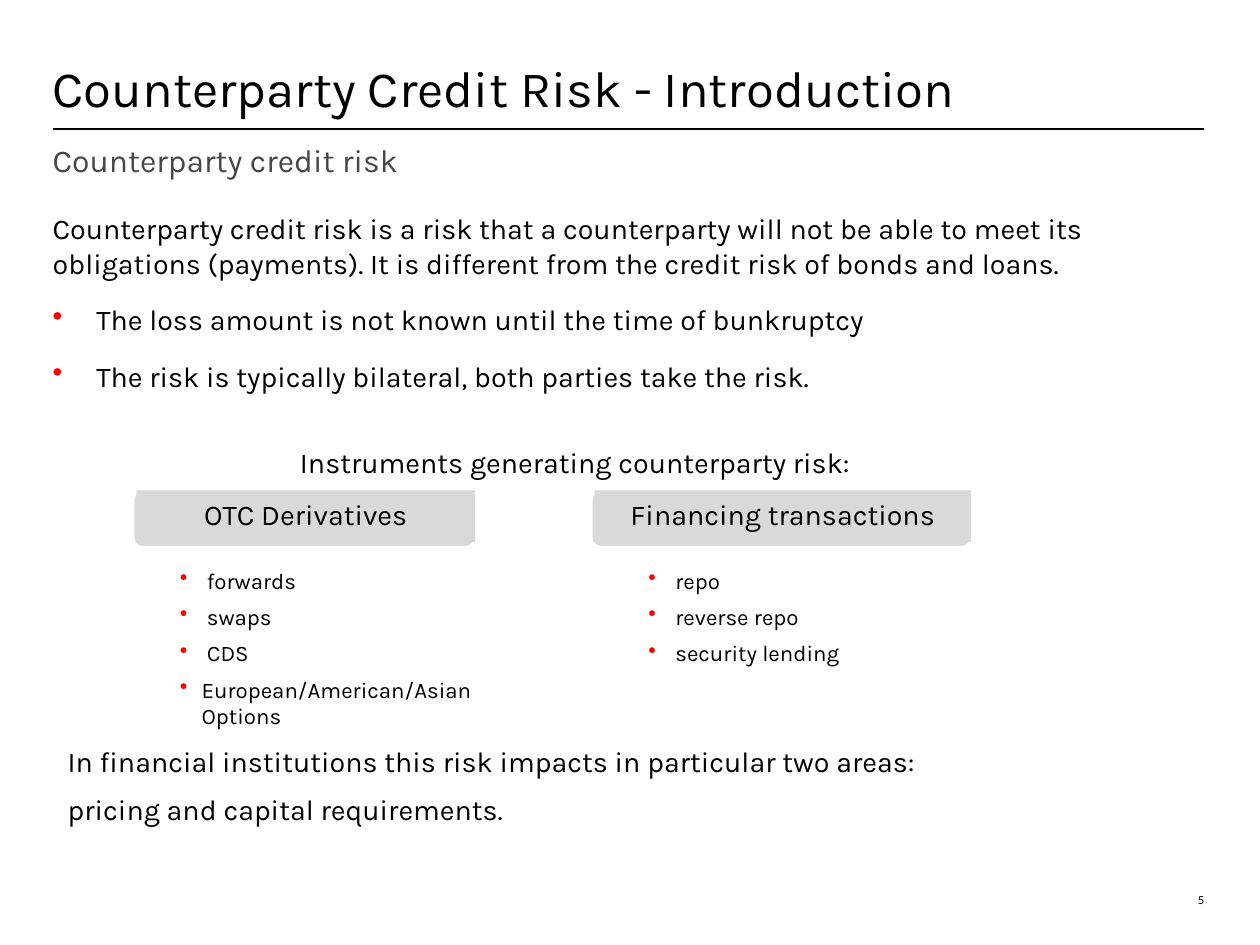
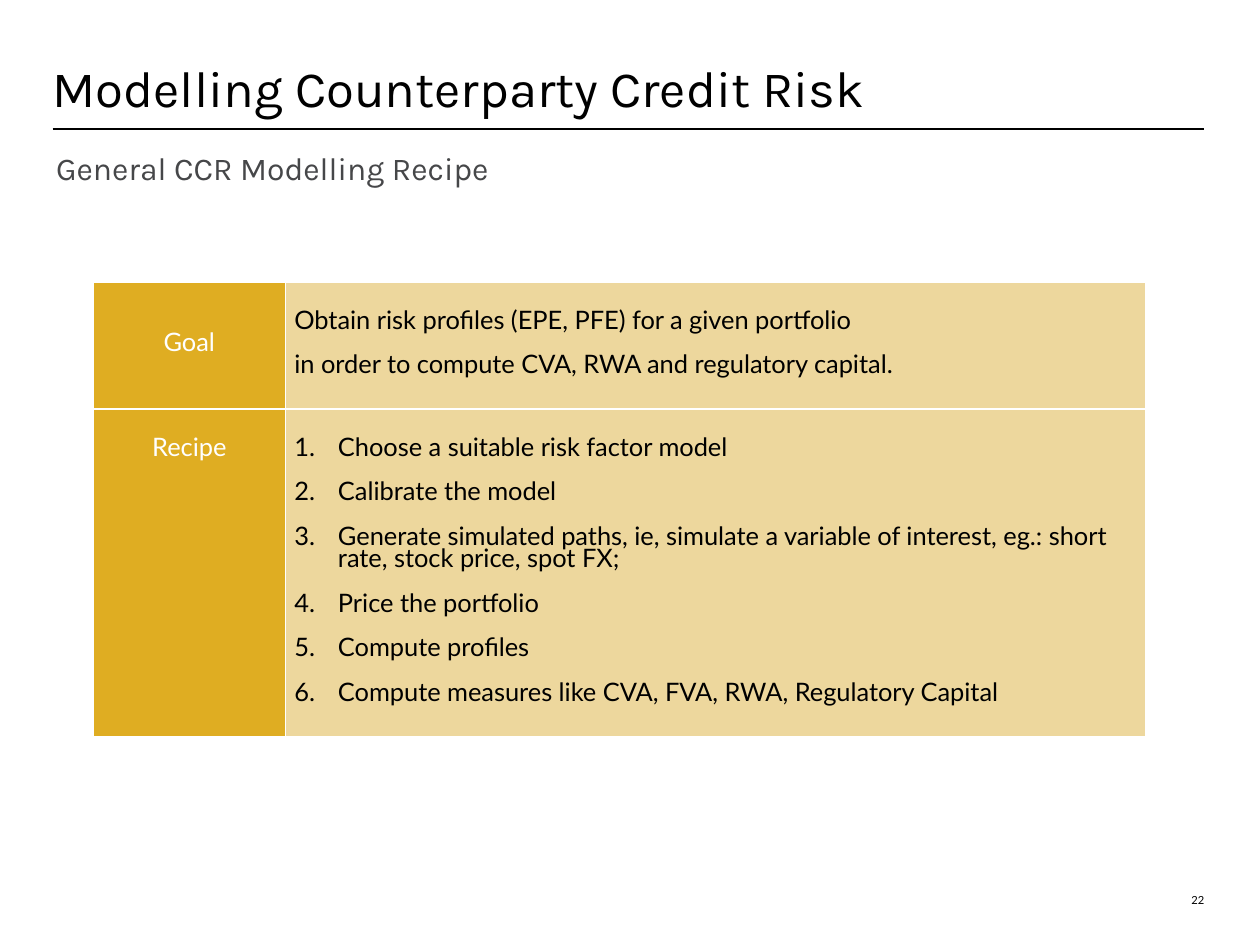
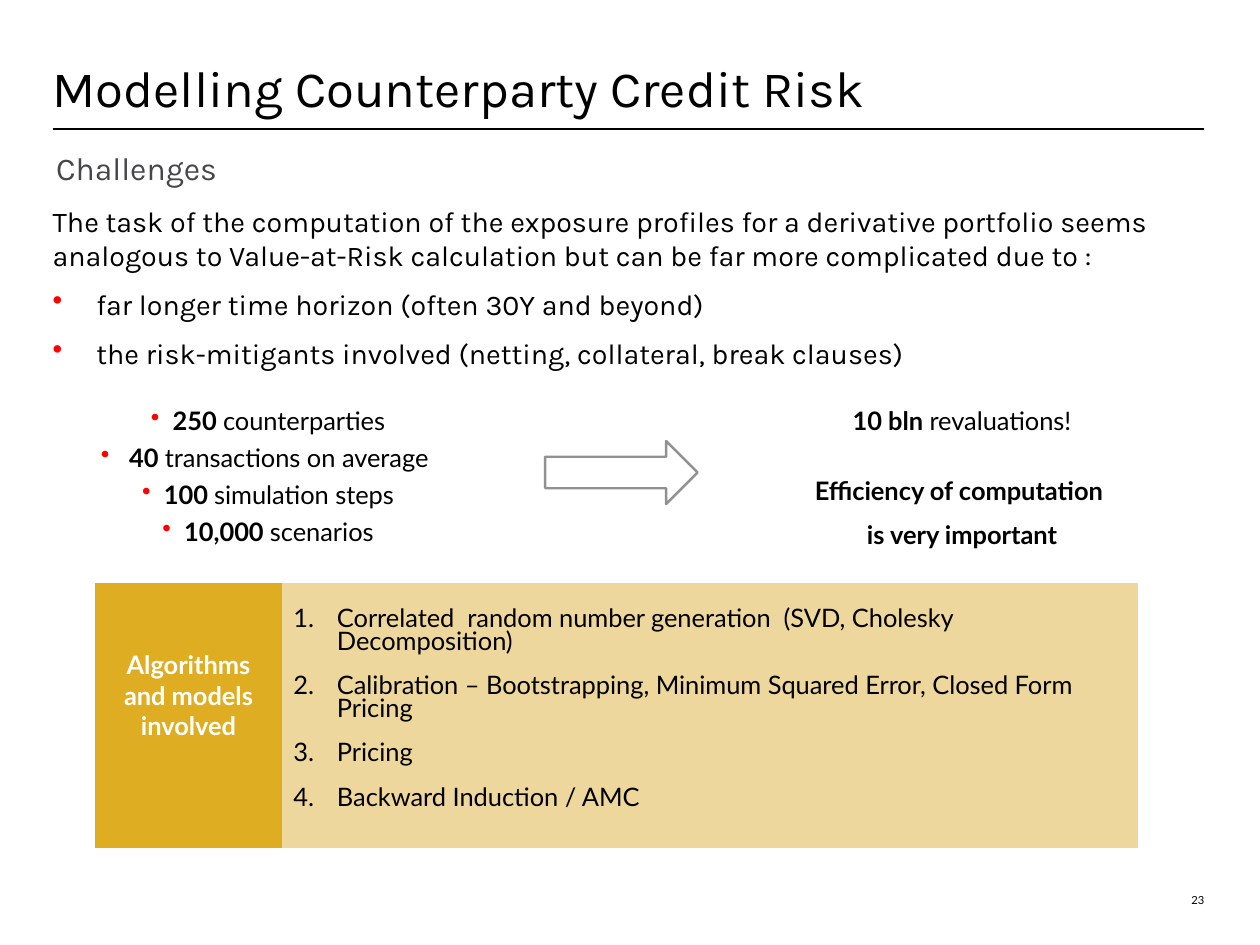
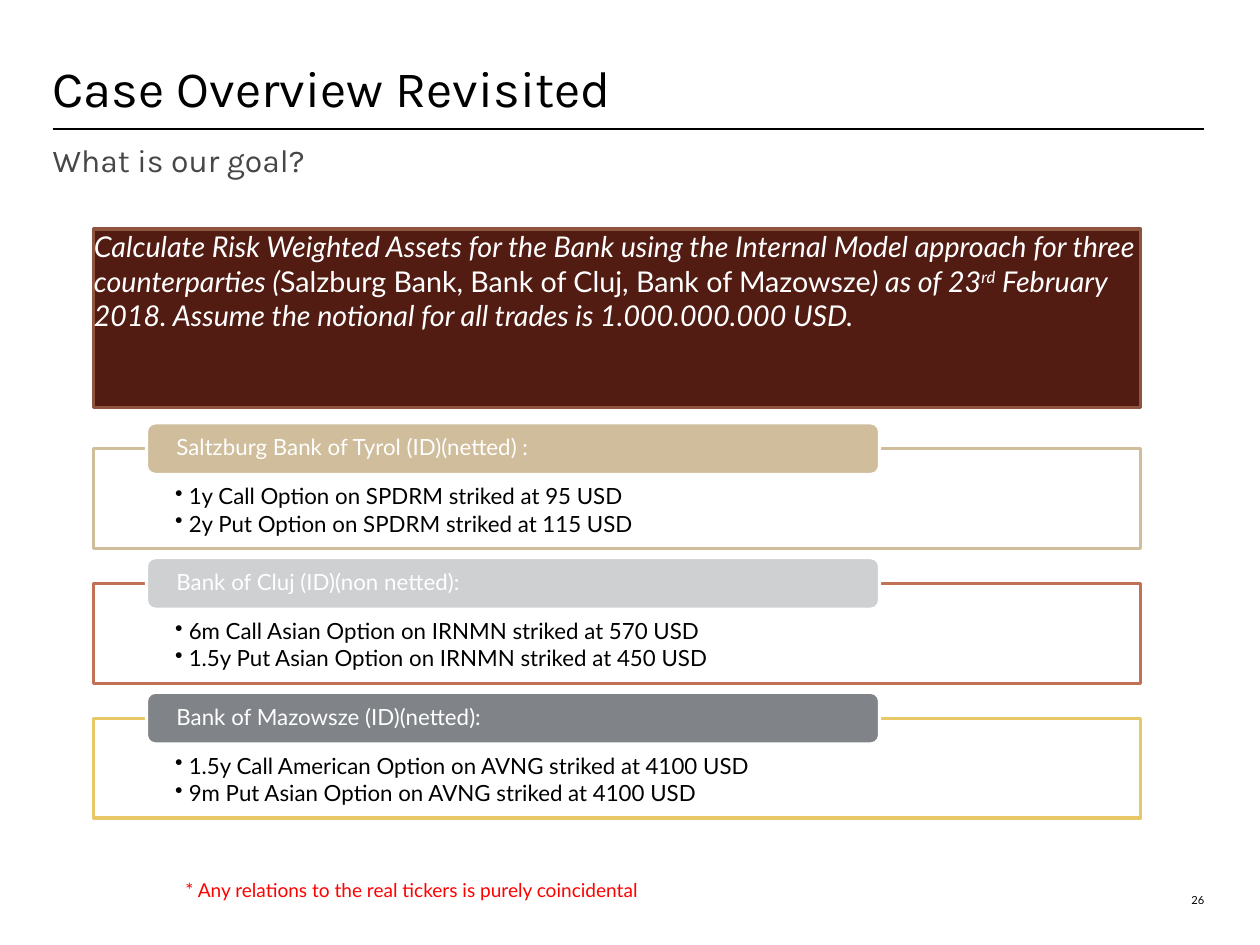
from lxml.etree import SubElement
from pptx import Presentation
from pptx.dml.color import RGBColor
from pptx.enum.shapes import MSO_CONNECTOR as CONN, MSO_SHAPE as SHAPE
from pptx.enum.text import MSO_ANCHOR as ANCHOR, PP_ALIGN as ALIGN
from pptx.oxml.ns import qn
from pptx.util import Pt

COLORS = {
    "black": "000000", "white": "FFFFFF", "red": "FF0000", "subtitle": "464749",
    "header": "D9D9D9", "gold": "DFAD22", "sand": "EDD79D", "arrow": "919191",
    "maroon": "521C13", "brown": "8E5440", "tan": "CFBD9B", "rust": "C07156",
    "silver": "CED0D1", "yellow": "E8C767", "slate": "808488",
}
HEAD, BODY = "Karla", "Lato"
LEFT, WIDTH = 33.1, 723.6
HANG, SMALL_HANG = 27.4, 13.7


def rgb(name):
    return RGBColor.from_string(COLORS[name])


# ---- Text helpers ----
def add_bullet(p, hang, kind, color):
    pPr = p._p.get_or_add_pPr()
    pPr.set("marL", str(Pt(hang)))
    pPr.set("indent", str(-Pt(hang)))
    if color:
        clr = SubElement(pPr, qn("a:buClr"))
        SubElement(clr, qn("a:srgbClr")).set("val", COLORS[color])
    if kind == "number":
        SubElement(pPr, qn("a:buAutoNum")).set("type", "arabicPeriod")
    else:
        SubElement(pPr, qn("a:buChar")).set("char", kind)


def write(tf, paras, size, font=HEAD, color="black", align=ALIGN.LEFT, before=0,
          after=0, line=None, bullet=None, hang=HANG, bullet_color="red",
          plain=0, insets=(0, 0, 0, 0), anchor=ANCHOR.TOP):
    """A paragraph is a string or a list of (text, style) with style "", "b", "i", "sup".
    The first `plain` paragraphs get no bullet."""
    tf.word_wrap = True
    tf.vertical_anchor = anchor
    tf.margin_left, tf.margin_top, tf.margin_right, tf.margin_bottom = map(Pt, insets)
    for i, para in enumerate(paras):
        p = tf.paragraphs[0] if i == 0 else tf.add_paragraph()
        p.alignment = align
        p.space_before, p.space_after = Pt(before), Pt(after)
        if line:
            p.line_spacing = line
        if bullet and i >= plain:
            add_bullet(p, hang, bullet, bullet_color)
        for text, style in [(para, "")] if isinstance(para, str) else para:
            r = p.add_run()
            r.text = text
            r.font.name, r.font.size = font, Pt(size)
            r.font.color.rgb = rgb(color)
            r.font.bold = style == "b"
            r.font.italic = style in ("i", "sup")
            if style == "sup":
                r._r.get_or_add_rPr().set("baseline", "30000")


def add_text(s, box, paras, size, **style):
    tb = s.shapes.add_textbox(*map(Pt, box))
    write(tb.text_frame, paras, size, **style)


def add_block(s, kind, box, fill=None, line=None, weight=2):
    sp = s.shapes.add_shape(kind, *map(Pt, box))
    sp.shadow.inherit = False
    if fill:
        sp.fill.solid()
        sp.fill.fore_color.rgb = rgb(fill)
    else:
        sp.fill.background()
    if line:
        sp.line.color.rgb = rgb(line)
        sp.line.width = Pt(weight)
    else:
        sp.line.fill.background()
    return sp


# ---- Shared frame: title, rule, subtitle, page number ----
def add_frame(prs, title, subtitle, page, sub_at=(LEFT, 88.6)):
    s = prs.slides.add_slide(prs.slide_layouts[6])
    rule = s.shapes.add_connector(CONN.STRAIGHT, Pt(LEFT), Pt(81.4),
                                  Pt(LEFT + WIDTH), Pt(81.4))
    rule.line.color.rgb = rgb("black")
    rule.line.width = Pt(1.25)
    SubElement(rule._element.spPr, qn("a:effectLst"))
    add_text(s, (725, 540, 32, 30.2), [page], 7, font=BODY,
             align=ALIGN.RIGHT, anchor=ANCHOR.BOTTOM)
    add_text(s, (LEFT, 0, WIDTH, 74.2), [title], 32, line=Pt(32), anchor=ANCHOR.BOTTOM)
    add_text(s, (*sub_at, WIDTH, 21.6), [subtitle], 20, color="subtitle")
    return s


# ---- Gold and sand table ----
def set_borders(cell, color):
    tcPr = cell._tc.get_or_add_tcPr()
    for side in "LRTB":
        ln = SubElement(tcPr, qn(f"a:ln{side}"), w=str(Pt(1)))
        if color:
            fill = SubElement(ln, qn("a:solidFill"))
            SubElement(fill, qn("a:srgbClr")).set("val", COLORS[color])
        else:
            SubElement(ln, qn("a:noFill"))


def add_gold_table(s, x, y, widths, heights, border=None):
    frame = s.shapes.add_table(len(heights), len(widths), Pt(x), Pt(y),
                               Pt(sum(widths)), Pt(sum(heights)))
    table = frame.table
    table.first_row = table.horz_banding = False
    for col, w in zip(table.columns, widths):
        col.width = Pt(w)
    for row, h in zip(table.rows, heights):
        row.height = Pt(h)
        for cell, fill in zip(row.cells, ("gold", "sand")):
            set_borders(cell, border)
            cell.fill.solid()
            cell.fill.fore_color.rgb = rgb(fill)
    return table


def fill_cell(cell, paras, insets, anchor=ANCHOR.TOP, **style):
    write(cell.text_frame, paras, 16, font=BODY, **style)
    cell.margin_left, cell.margin_top, cell.margin_right, cell.margin_bottom = map(Pt, insets)
    cell.vertical_anchor = anchor


# ---- Introduction slide ----
def add_instrument_group(s, x, y, w, header, list_x, list_w, items):
    add_block(s, SHAPE.ROUNDED_RECTANGLE, (x, y, w, 36), "header", "white")
    label = add_block(s, SHAPE.RECTANGLE, (x + 2.2, y, w - 2.4, 32.4), "header")
    write(label.text_frame, [header], 18, align=ALIGN.CENTER, line=0.9,
          insets=(7.2,) * 4, anchor=ANCHOR.MIDDLE)
    add_text(s, (list_x, y + 48.2, list_w, 95.8), items, 14, before=6,
             bullet="•", hang=SMALL_HANG)


def introduction_slide(prs):
    s = add_frame(prs, "Counterparty Credit Risk - Introduction",
                  "Counterparty credit risk", "5")
    add_text(s, (LEFT, 97.2, WIDTH, 175.7), [
        "Counterparty credit risk is a risk that a counterparty will not be able to meet its "
        "obligations (payments). It is different from the credit risk of bonds and loans.",
        "The loss amount is not known until the time of bunkruptcy",
        "The risk is typically bilateral, both parties take the risk.",
    ], 18, before=14, bullet="•", plain=1, insets=(0, 35.5, 0, 0))
    add_text(s, (85.7, 279.4, 551.5, 27), ["Instruments generating counterparty risk:"],
             18, align=ALIGN.CENTER)
    add_instrument_group(s, 83.5, 308.2, 215.3, "OTC Derivatives", 113, 185.8,
                         [" forwards", " swaps", " CDS", "European/American/Asian Options"])
    add_instrument_group(s, 371.5, 308.2, 239, "Financing transactions", 407.5, 259.2,
                         [" repo", " reverse repo", " security lending"])
    add_text(s, (42.5, 467.3, 704.2, 72), [
        "In financial institutions this risk impacts in particular two areas:",
        "pricing and capital requirements.",
    ], 18, before=9)


# ---- Recipe slide ----
def recipe_slide(prs):
    s = add_frame(prs, "Modelling Counterparty Credit Risk",
                  "General CCR Modelling Recipe", "22", (35.3, 93.6))
    table = add_gold_table(s, 58.8, 177.6, (120.5, 541), (79.5, 206), "white")
    middle, top = (5.8, 4.3, 5.8, 4.3), (5.8, 19, 5.8, 4.3)
    label = dict(color="white", align=ALIGN.CENTER, line=Pt(14))
    text = dict(line=Pt(14), before=14)
    fill_cell(table.cell(0, 0), ["Goal"], middle, ANCHOR.MIDDLE, **label)
    fill_cell(table.cell(0, 1), [
        "Obtain risk profiles (EPE, PFE) for a given portfolio",
        "in order to compute CVA, RWA and regulatory capital.",
    ], middle, ANCHOR.MIDDLE, **text)
    fill_cell(table.cell(1, 0), ["Recipe"], top, **label)
    fill_cell(table.cell(1, 1), [
        "Choose a suitable risk factor model",
        "Calibrate the model",
        "Generate simulated paths, ie, simulate a variable of interest, eg.: short rate, "
        "stock price, spot FX;",
        "Price the portfolio",
        "Compute profiles",
        "Compute measures like CVA, FVA, RWA, Regulatory Capital",
    ], top, bullet="number", bullet_color=None, **text)


# ---- Challenges slide ----
def add_workload(s, y):
    add_text(s, (LEFT, y, 270.8, 141.8), [
        [("250 ", "b"), ("counterparties", "")],
        [(" ", ""), ("40 ", "b"), ("transactions on average ", "")],
        [("100 ", "b"), ("simulation steps", "")],
        [("10,000 ", "b"), ("scenarios", "")],
    ], 16, font=BODY, align=ALIGN.CENTER, before=4, bullet="•", hang=SMALL_HANG)
    add_block(s, SHAPE.RIGHT_ARROW, (342.7, y + 22.3, 95.8, 39.6), line="arrow", weight=1.5)
    result = dict(font=BODY, align=ALIGN.CENTER, before=8)
    add_text(s, (494.6, y, 220.3, 39.6), [[("10 bln ", "b"), ("revaluations!", "")]],
             16, **result)
    add_text(s, (494.6, y + 43.9, 220.3, 68.4), [
        [("Efficiency of computation ", "b")],
        [("is very important", "b")],
    ], 16, **result)


def challenges_slide(prs):
    s = add_frame(prs, "Modelling Counterparty Credit Risk", "Challenges", "23",
                  (35.3, 93.6))
    add_text(s, (LEFT, 128.2, WIDTH, 239.8), [
        "The task of the computation of the exposure profiles for a derivative portfolio seems "
        "analogous to Value-at-Risk calculation but can be far more complicated due to :",
        "far longer time horizon (often 30Y and beyond)",
        "the risk-mitigants involved (netting, collateral, break clauses)",
    ], 18, before=9, bullet="•", plain=1)
    add_workload(s, 254.9)
    table = add_gold_table(s, 59.8, 366.5, (117.4, 538), (166.5,))
    fill_cell(table.cell(0, 0), [[("Algorithms", "b")], [("and models involved", "b")]],
              (7.2, 42, 7.2, 3.6), color="white", align=ALIGN.CENTER)
    fill_cell(table.cell(0, 1), [
        "Correlated  random number generation  (SVD, Cholesky Decomposition)",
        "Calibration – Bootstrapping, Minimum Squared Error, Closed Form Pricing",
        "Pricing",
        "Backward Induction / AMC",
    ], (7.2, 17.6, 20, 3.6), line=Pt(14), before=14, bullet="number", bullet_color=None)


# ---- Case slide ----
def add_portfolio(s, x, y, tab_fill, outline, name, trades):
    card = add_block(s, SHAPE.RECTANGLE, (x, y, 658.1, 62.6), "white", outline)
    write(card.text_frame, trades, 14, font=BODY, line=0.9, after=2, bullet="•",
          hang=8.6, bullet_color=None, insets=(51.1, 23, 51.1, 7.9))
    tab = add_block(s, SHAPE.ROUNDED_RECTANGLE, (x + 33.1, y - 16.4, 460.8, 32.4),
                    tab_fill, "white")
    write(tab.text_frame, [name], 14, font=BODY, color="white", line=0.9,
          insets=(17.3, 0, 17.3, 0), anchor=ANCHOR.MIDDLE)


def case_slide(prs):
    s = add_frame(prs, "Case Overview Revisited", "What is our goal?", "26")
    x = 59
    goal = add_block(s, SHAPE.RECTANGLE, (x, 144, 658.1, 112.3), "maroon", "brown")
    write(goal.text_frame, [[
        ("Calculate Risk Weighted Assets for the Bank using the Internal Model approach "
         "for three counterparties (", "i"),
        ("Salzburg Bank, Bank of Cluj, Bank of Mazowsze", ""),
        (") as of 23", "i"),
        ("rd", "sup"),
        (" February 2018. Assume the notional for all trades is 1.000.000.000 USD.", "i"),
    ]], 18, font=BODY, color="white")
    portfolios = [
        ("tan", "tan", "Saltzburg Bank of Tyrol (ID)(netted) :",
         ["1y Call Option on SPDRM striked at 95 USD",
          "2y Put Option on SPDRM striked at 115 USD"]),
        ("silver", "rust", "Bank of Cluj (ID)(non netted):",
         ["6m Call Asian Option on IRNMN striked at 570 USD",
          "1.5y Put Asian Option on IRNMN striked at 450 USD"]),
        ("slate", "yellow", "Bank of Mazowsze (ID)(netted):",
         ["1.5y Call American Option on AVNG striked at 4100 USD",
          "9m Put Asian Option on AVNG striked at 4100 USD"]),
    ]
    for i, portfolio in enumerate(portfolios):
        add_portfolio(s, x, 282.2 + i * 84.7, *portfolio)
    add_text(s, (116.6, 552.2, 378, 21.6),
             ["* Any relations to the real tickers is purely coincidental"],
             12, font=BODY, color="red")


def main():
    prs = Presentation()
    prs.slide_width, prs.slide_height = Pt(792), Pt(594)
    introduction_slide(prs)
    recipe_slide(prs)
    challenges_slide(prs)
    case_slide(prs)
    prs.save("out.pptx")


if __name__ == "__main__":
    main()
